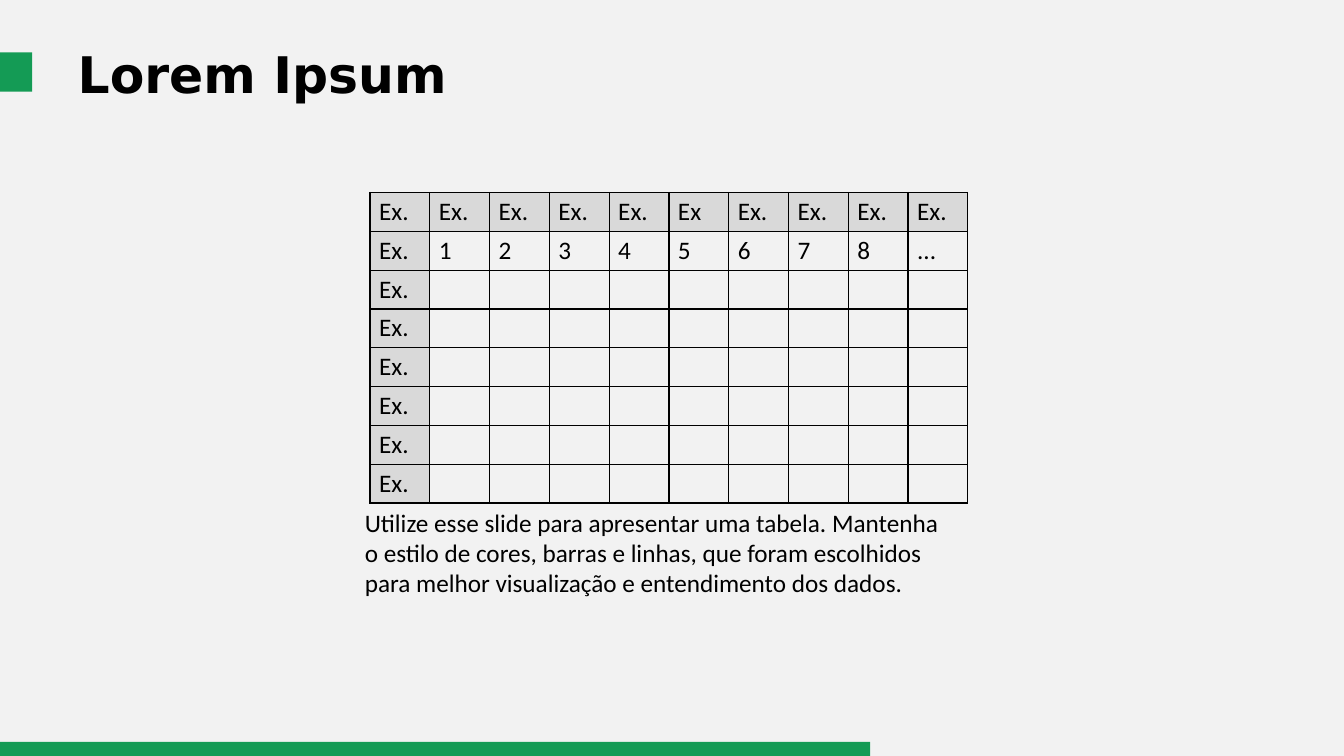
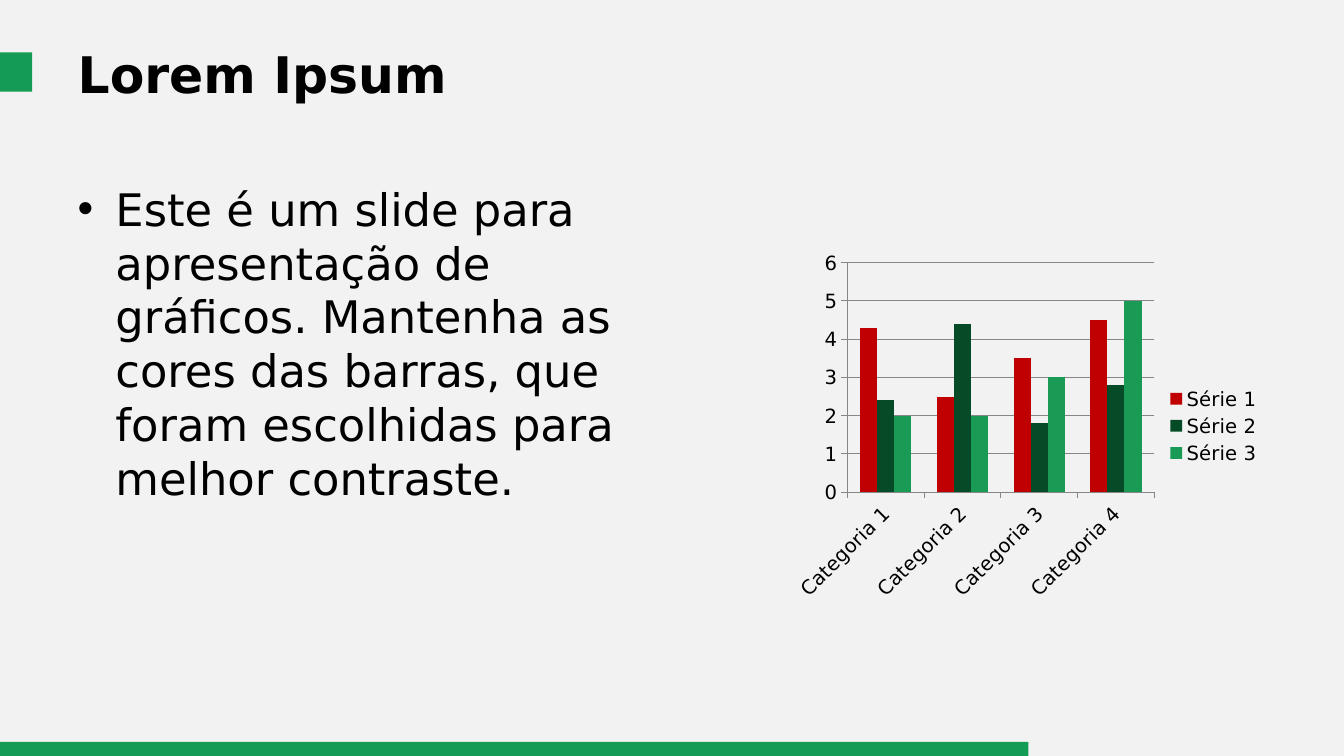
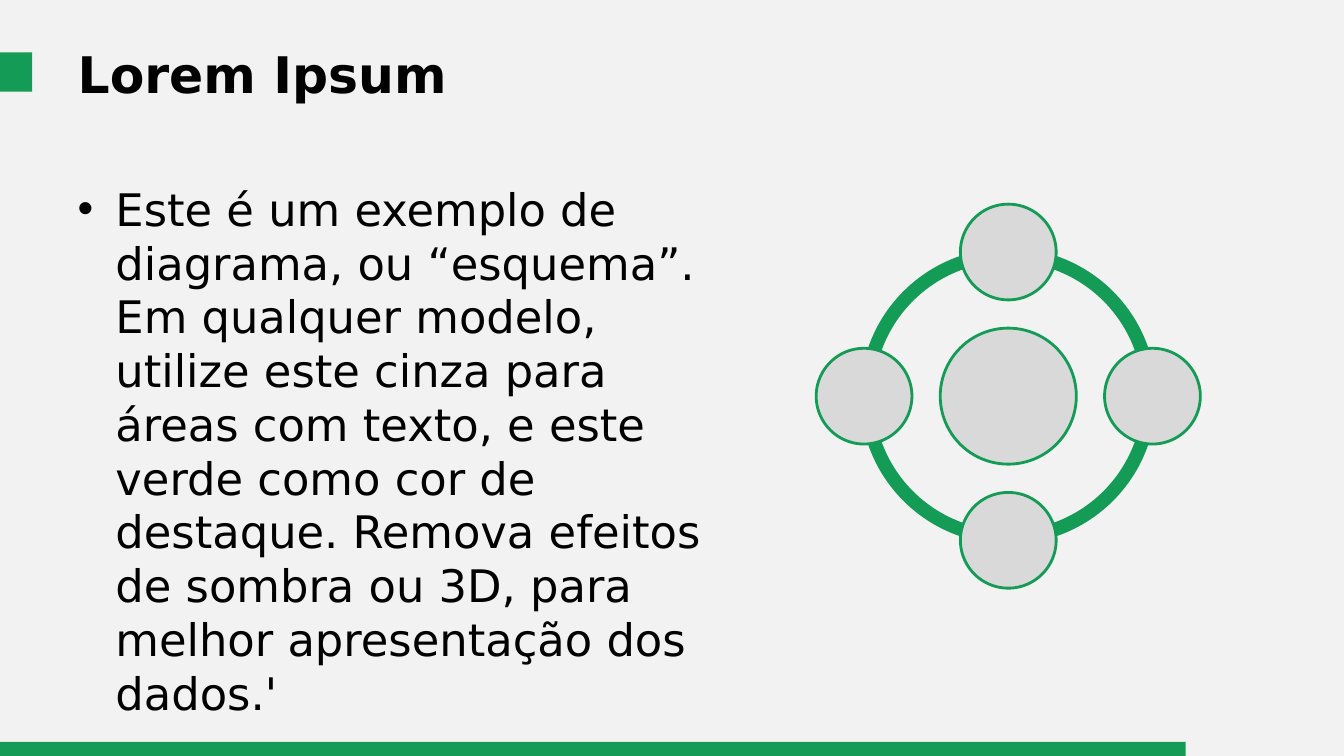
from lxml import etree
from pptx import Presentation
from pptx.chart.data import CategoryChartData
from pptx.dml.color import RGBColor
from pptx.enum.chart import XL_CHART_TYPE, XL_LEGEND_POSITION, XL_TICK_MARK
from pptx.enum.shapes import MSO_SHAPE
from pptx.enum.text import MSO_ANCHOR, MSO_AUTO_SIZE, PP_ALIGN
from pptx.oxml.ns import qn
from pptx.util import Inches, Pt

RECTANGLE, OVAL, BLOCK_ARC = MSO_SHAPE.RECTANGLE, MSO_SHAPE.OVAL, MSO_SHAPE.BLOCK_ARC
LEFT, CENTER = PP_ALIGN.LEFT, PP_ALIGN.CENTER
TOP, MIDDLE = MSO_ANCHOR.TOP, MSO_ANCHOR.MIDDLE
FIXED_SIZE = MSO_AUTO_SIZE.NONE
CLUSTERED = XL_CHART_TYPE.COLUMN_CLUSTERED
LEGEND_RIGHT = XL_LEGEND_POSITION.RIGHT
TICK_OUTSIDE = XL_TICK_MARK.OUTSIDE

BLACK = RGBColor(0x00, 0x00, 0x00)
PAPER = RGBColor(0xF2, 0xF2, 0xF2)
GREEN = RGBColor(0x14, 0x9B, 0x55)
GRAY = RGBColor(0xD9, 0xD9, 0xD9)
AXIS_GRAY = RGBColor(0x86, 0x86, 0x86)
RED = RGBColor(0xC0, 0x00, 0x00)
DARK_GREEN = RGBColor(0x05, 0x4B, 0x28)
LIGHT_GREEN = RGBColor(0x19, 0x9B, 0x55)

MAIN_FONT = "DejaVu Sans"
TABLE_FONT = "Montserrat"
CAPTION_FONT = "Calibri"

TITLE = "Lorem Ipsum"
TABLE_ROWS = [
    ["Ex."] * 5 + ["Ex"] + ["Ex."] * 4,
    ["Ex.", "1", "2", "3", "4", "5", "6", "7", "8", "..."],
] + [["Ex."] + [""] * 9] * 6
TABLE_CAPTION = (
    "Utilize esse slide para apresentar uma tabela. Mantenha o estilo de cores, "
    "barras e linhas, que foram escolhidos para melhor visualização e "
    "entendimento dos dados."
)
CHART_TEXT = (
    "Este é um slide para apresentação de gráficos. Mantenha as cores das barras, "
    "que foram escolhidas para melhor contraste."
)
CATEGORIES = ["Categoria 1", "Categoria 2", "Categoria 3", "Categoria 4"]
SERIES = [
    ("Série 1", (4.3, 2.5, 3.5, 4.5), RED),
    ("Série 2", (2.4, 4.4, 1.8, 2.8), DARK_GREEN),
    ("Série 3", (2, 2, 3, 5), LIGHT_GREEN),
]
DIAGRAM_TEXT = (
    "Este é um exemplo de diagrama, ou “esquema”. Em qualquer modelo, utilize este "
    "cinza para áreas com texto, e este verde como cor de destaque. Remova efeitos "
    "de sombra ou 3D, para melhor apresentação dos dados.'"
)
HUB = (10, 3.93)
HUB_SIZE, SATELLITE_SIZE, RING_SIZE = 1.35, 0.95, 2.94
ORBIT = 1.43
DIRECTIONS = [(0, -1), (1, 0), (0, 1), (-1, 0)]
QUARTERS = [(108, 162), (54, 108), (0, 54), (162, 0)]
RING_THICKNESS = 0.046


def style(font, size, name=MAIN_FONT, bold=False):
    font.size, font.name, font.bold = Pt(size), name, bold
    font.color.rgb = BLACK


def place(part, left, top, width, height):
    part.left, part.top = Inches(left), Inches(top)
    part.width, part.height = Inches(width), Inches(height)


def add_figure(slide, preset, box, fill, outline=None):
    figure = slide.shapes.add_shape(preset, *map(Inches, box))
    figure.shadow.inherit = False
    figure.fill.solid()
    figure.fill.fore_color.rgb = fill
    if outline is None:
        figure.line.fill.background()
    else:
        figure.line.color.rgb = outline
        figure.line.width = Pt(2)
    return figure


def add_centered(slide, preset, center, size, fill, outline=None):
    x, y = center
    return add_figure(slide, preset, (x - size / 2, y - size / 2, size, size), fill, outline)


def fill_placeholder(part, text, box, size, anchor, bold=False):
    place(part, *box)
    frame = part.text_frame
    frame.text = text
    frame.auto_size = FIXED_SIZE
    frame.vertical_anchor = anchor
    paragraph = frame.paragraphs[0]
    paragraph.alignment = LEFT
    style(paragraph.font, size, bold=bold)


def add_slide(deck, layout, progress, body=None, body_width=None):
    slide = deck.slides.add_slide(deck.slide_layouts[layout])
    add_figure(slide, RECTANGLE, (-0.03, 0.52, 0.35, 0.39), GREEN)
    add_figure(slide, RECTANGLE, (0, 7.36, progress, 0.17), GREEN)
    fill_placeholder(slide.shapes.title, TITLE, (0.67, 0.29, 12, 0.87), 36, MIDDLE, True)
    if body:
        fill_placeholder(slide.placeholders[1], body, (0.67, 1.75, body_width, 4.95), 32, TOP)
    return slide


def add_borders(cell):
    properties = cell._tc.get_or_add_tcPr()
    for side in ("a:lnL", "a:lnR", "a:lnT", "a:lnB"):
        border = etree.SubElement(properties, qn(side), w=str(Pt(1)))
        paint = etree.SubElement(border, qn("a:solidFill"))
        etree.SubElement(paint, qn("a:srgbClr"), val=str(BLACK))


def build_table_slide(deck):
    slide = add_slide(deck, 5, 8.63)
    table = slide.shapes.add_table(
        len(TABLE_ROWS), len(TABLE_ROWS[0]),
        Inches(3.67), Inches(1.91), Inches(5.93), Inches(2.89)).table
    table.first_row = table.horz_banding = False
    for row, texts in enumerate(TABLE_ROWS):
        for column, text in enumerate(texts):
            cell = table.cell(row, column)
            cell.margin_left = cell.margin_right = Inches(0.09)
            cell.margin_top = cell.margin_bottom = Inches(0.04)
            add_borders(cell)
            if row == 0 or column == 0:
                cell.fill.solid()
                cell.fill.fore_color.rgb = GRAY
            else:
                cell.fill.background()
            paragraph = cell.text_frame.paragraphs[0]
            paragraph.alignment = CENTER
            if text:
                cell.text = text
                style(paragraph.font, 12, TABLE_FONT)
            else:
                etree.SubElement(paragraph._p, qn("a:endParaRPr"), sz="1200")

    caption = slide.shapes.add_textbox(
        Inches(3.52), Inches(4.98), Inches(6.06), Inches(1.01)).text_frame
    caption.word_wrap = True
    caption.text = TABLE_CAPTION
    style(caption.paragraphs[0].font, 18, CAPTION_FONT)


def build_chart_slide(deck):
    slide = add_slide(deck, 1, 10.2, CHART_TEXT, 6.31)
    data = CategoryChartData()
    data.categories = CATEGORIES
    for name, values, _ in SERIES:
        data.add_series(name, values)
    chart = slide.shapes.add_chart(
        CLUSTERED, Inches(7.79), Inches(2.42), Inches(4.82), Inches(3.61), data).chart
    chart.has_title = False
    style(chart.font, 18, TABLE_FONT)
    chart.has_legend = True
    chart.legend.position = LEGEND_RIGHT
    chart.legend.include_in_layout = False
    style(chart.legend.font, 14)
    for axis in (chart.category_axis, chart.value_axis):
        axis.major_tick_mark = TICK_OUTSIDE
        axis.format.line.color.rgb = AXIS_GRAY
        style(axis.tick_labels.font, 14)
    chart.category_axis._element.txPr.bodyPr.set("rot", "-2700000")
    chart.value_axis.major_gridlines.format.line.color.rgb = AXIS_GRAY
    plot = chart.plots[0]
    plot.gap_width, plot.overlap = 150, 0
    plot.vary_by_categories = False
    for series, (_, _, color) in zip(plot.series, SERIES):
        series.format.fill.solid()
        series.format.fill.fore_color.rgb = color


def build_diagram_slide(deck):
    slide = add_slide(deck, 1, 11.76, DIAGRAM_TEXT, 6.47)
    for start, end in QUARTERS:
        arc = add_centered(slide, BLOCK_ARC, HUB, RING_SIZE, GREEN)
        for index, value in enumerate((start, end, RING_THICKNESS)):
            arc.adjustments[index] = value
    add_centered(slide, OVAL, HUB, HUB_SIZE, GRAY, GREEN)
    for dx, dy in DIRECTIONS:
        center = (HUB[0] + dx * ORBIT, HUB[1] + dy * ORBIT)
        add_centered(slide, OVAL, center, SATELLITE_SIZE, GRAY, GREEN)


def main():
    deck = Presentation()
    deck.slide_width, deck.slide_height = Inches(13.33), Inches(7.5)
    background = deck.slide_master.background.fill
    background.solid()
    background.fore_color.rgb = PAPER
    build_table_slide(deck)
    build_chart_slide(deck)
    build_diagram_slide(deck)
    deck.save("out.pptx")


if __name__ == "__main__":
    main()
